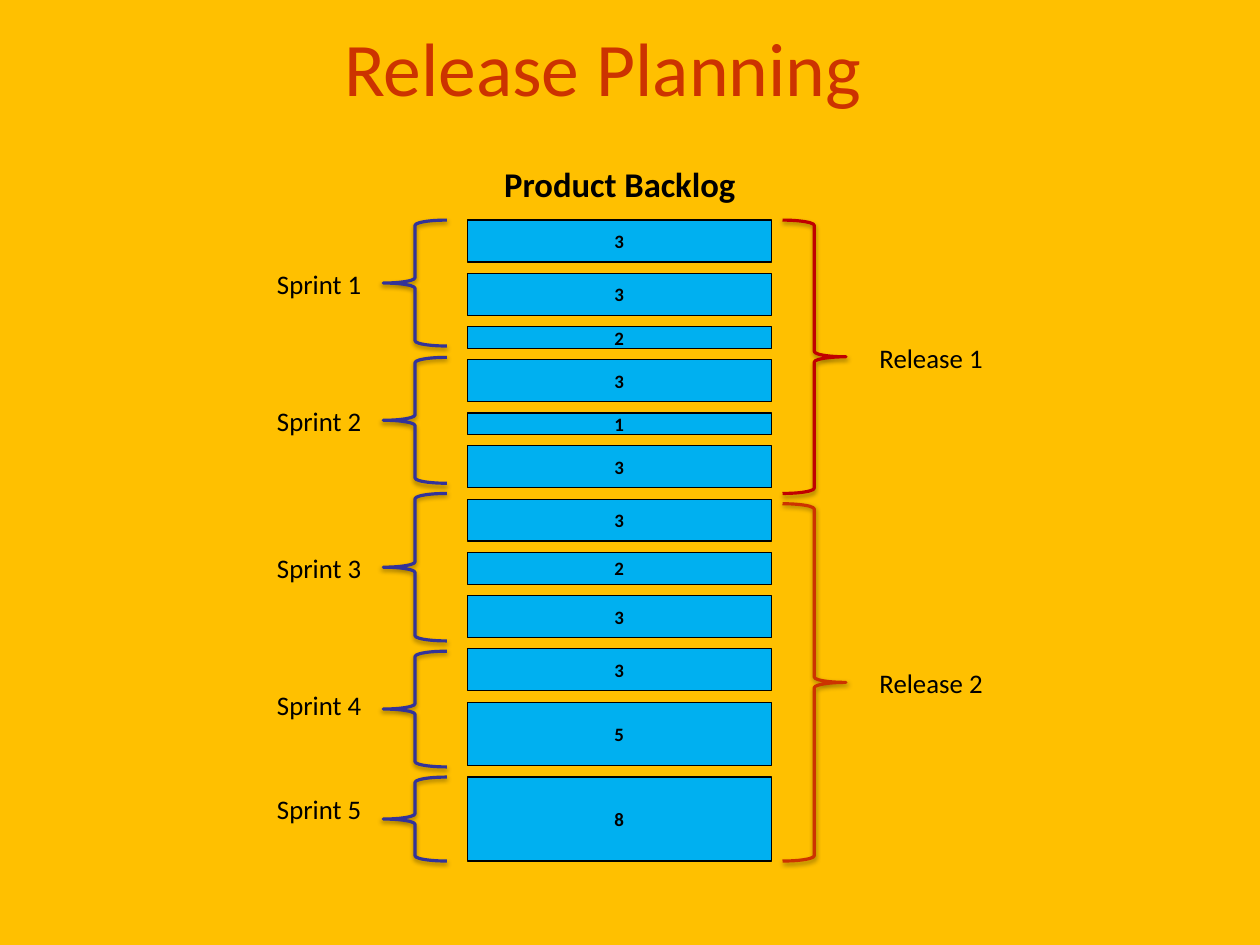
from lxml import etree
from pptx import Presentation
from pptx.dml.color import RGBColor
from pptx.enum.shapes import MSO_SHAPE
from pptx.enum.text import MSO_ANCHOR, MSO_AUTO_SIZE, PP_ALIGN
from pptx.oxml.ns import qn
from pptx.util import Inches, Pt

RECTANGLE = MSO_SHAPE.RECTANGLE
LEFT_BRACE = MSO_SHAPE.LEFT_BRACE
RIGHT_BRACE = MSO_SHAPE.RIGHT_BRACE
TOP, MIDDLE = MSO_ANCHOR.TOP, MSO_ANCHOR.MIDDLE
CENTER = PP_ALIGN.CENTER
NO_AUTOFIT = MSO_AUTO_SIZE.NONE
TITLE_ONLY = 5

FONT = "Calibri"
COLORS = {
    "background": "FFC000",
    "title": "CC3300",
    "text": "000000",
    "item": "00B0F0",
    "sprint": "333399",
    "release 1": "C00000",
    "release 2": "CC3300",
}

BACKLOG_TOP = 1.94
ITEM_GAP = 0.1
# Story points and bar height, from top to bottom
BACKLOG = [
    (3, 0.37), (3, 0.37), (2, 0.19), (3, 0.37), (1, 0.19), (3, 0.37),
    (3, 0.37), (2, 0.28), (3, 0.37), (3, 0.37), (5, 0.56), (8, 0.74),
]
# Label, label top, brace top, brace height
SPRINTS = [
    ("Sprint 1", 2.31, 1.94, 1.11),
    ("Sprint 2", 3.52, 3.15, 1.11),
    ("Sprint 3", 4.81, 4.35, 1.3),
    ("Sprint 4", 6.02, 5.74, 1.02),
    ("Sprint 5", 6.94, 6.85, 0.74),
]
RELEASES = [
    ("Release 1", 2.96, 1.94, 2.41),
    ("Release 2", 5.83, 4.44, 3.15),
]


def color(name):
    return RGBColor.from_string(COLORS[name])


class SlideBuilder:
    def __init__(self, slide):
        self.slide = slide
        fill = slide.background.fill
        fill.solid()
        fill.fore_color.rgb = color("background")

    def set_text(self, shape, text, size, color_name="text", bold=False,
                 anchor=TOP, inset=0.05, wrap=True):
        frame = shape.text_frame
        frame.auto_size = NO_AUTOFIT
        frame.word_wrap = wrap
        frame.vertical_anchor = anchor
        frame.margin_left = frame.margin_right = Inches(inset)
        frame.margin_top = frame.margin_bottom = Inches(inset)
        paragraph = frame.paragraphs[0]
        paragraph.alignment = CENTER
        run = paragraph.add_run()
        run.text = text
        run.font.name = FONT
        run.font.size = Pt(size)
        run.font.bold = bold
        run.font.color.rgb = color(color_name)

    def title(self, text, left, top, width, height):
        shape = self.slide.shapes.title
        shape.left, shape.top = Inches(left), Inches(top)
        shape.width, shape.height = Inches(width), Inches(height)
        self.set_text(shape, text, 48, "title")

    def label(self, text, left, top, width, height, size=17, bold=False):
        shape = self.slide.shapes.add_textbox(
            Inches(left), Inches(top), Inches(width), Inches(height))
        self.set_text(shape, text, size, bold=bold, wrap=False)

    def outline(self, kind, left, top, width, height, line_color, line_width):
        shape = self.slide.shapes.add_shape(
            kind, Inches(left), Inches(top), Inches(width), Inches(height))
        shape.shadow.inherit = False
        shape.line.color.rgb = color(line_color)
        shape.line.width = Pt(line_width)
        return shape

    def item(self, points, top, height):
        shape = self.outline(RECTANGLE, 4.12, top, 2.68, height, "text", 0.75)
        shape.fill.solid()
        shape.fill.fore_color.rgb = color("item")
        self.set_text(shape, str(points), 12, bold=True, anchor=MIDDLE, inset=0)

    def brace(self, kind, left, top, height, color_name):
        shape = self.outline(kind, left, top, 0.56, height, color_name, 2)
        shape.fill.background()
        self.drop_shadow(shape)

    def drop_shadow(self, shape):
        """Fill the empty effect list with a soft shadow straight below."""
        effects = shape._element.spPr.find(qn("a:effectLst"))
        shadow = etree.SubElement(
            effects, qn("a:outerShdw"), blurRad=str(Pt(3)), dist=str(Pt(1.6)),
            dir="5400000", rotWithShape="0")
        shade = etree.SubElement(shadow, qn("a:srgbClr"), val=COLORS["text"])
        etree.SubElement(shade, qn("a:alpha"), val="38000")


def main():
    presentation = Presentation()
    presentation.slide_width = Inches(11.11)
    presentation.slide_height = Inches(8.33)
    layout = presentation.slide_layouts[TITLE_ONLY]
    builder = SlideBuilder(presentation.slides.add_slide(layout))

    builder.title("Release Planning", 2.17, 0.13, 6.29, 0.86)
    builder.label("Product Backlog", 4.14, 1.39, 2.65, 0.45, size=22, bold=True)

    item_top = BACKLOG_TOP
    for points, height in BACKLOG:
        builder.item(points, item_top, height)
        item_top += height + ITEM_GAP

    for name, label_top, top, height in SPRINTS:
        builder.brace(LEFT_BRACE, 3.38, top, height, "sprint")
        builder.label(name, 2.38, label_top, 0.87, 0.38)

    for name, label_top, top, height in RELEASES:
        builder.brace(RIGHT_BRACE, 6.9, top, height, name.lower())
        builder.label(name, 7.7, label_top, 1.02, 0.38)

    presentation.save("out.pptx")


if __name__ == "__main__":
    main()
